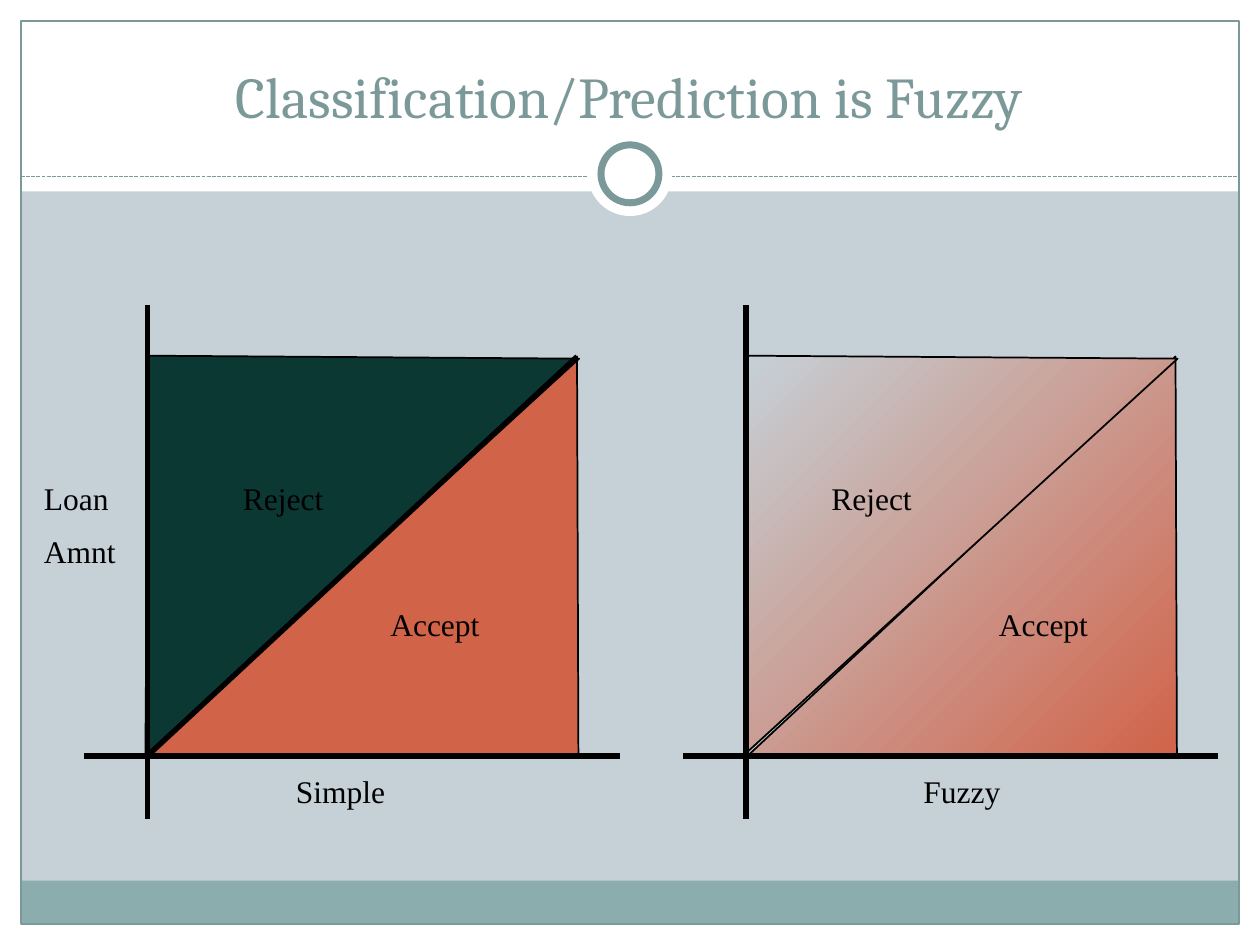
from pptx import Presentation
from pptx.dml.color import RGBColor
from pptx.enum.dml import MSO_LINE
from pptx.enum.shapes import MSO_CONNECTOR, MSO_SHAPE
from pptx.enum.text import MSO_ANCHOR, PP_ALIGN
from pptx.oxml.ns import qn
from pptx.util import Inches, Pt
from lxml.etree import SubElement

W, H = 10, 7.5
EDGE = W / 60            # white margin around the slide
PANEL_STEP = 4.75        # distance between the two diagrams
BASE_Y = 0.8 * H         # horizontal axis

WHITE = RGBColor(0xFF, 0xFF, 0xFF)
BLACK = RGBColor(0, 0, 0)
PALE = RGBColor(0xC5, 0xD1, 0xD7)
BAND = RGBColor(0x8C, 0xAD, 0xAE)
TEAL = RGBColor(0x7C, 0x99, 0x9A)
GREEN = RGBColor(0x0C, 0x38, 0x34)
RED = RGBColor(0xD1, 0x63, 0x49)


def add_shape(s, kind, x, y, w, h, fill=None, line=None, width=1, rotation=0):
    sp = s.shapes.add_shape(kind, Inches(x), Inches(y), Inches(w), Inches(h))
    sp.shadow.inherit = False
    sp.rotation = rotation
    if fill is None:
        sp.fill.background()
    elif isinstance(fill, list):
        sp.fill.gradient()
        sp.fill.gradient_angle = 315
        for stop, color in zip(sp.fill.gradient_stops, fill):
            stop.color.rgb = color
        # Keep the gradient direction fixed while the shape turns
        sp._element.spPr.find(qn("a:gradFill")).set("rotWithShape", "0")
    else:
        sp.fill.solid()
        sp.fill.fore_color.rgb = fill
    if line is None:
        sp.line.fill.background()
    else:
        sp.line.color.rgb = line
        sp.line.width = Pt(width)
    return sp


def add_line(s, x1, y1, x2, y2, color=BLACK, width=3, dash=None):
    ln = s.shapes.add_connector(MSO_CONNECTOR.STRAIGHT, Inches(x1), Inches(y1),
                                Inches(x2), Inches(y2))
    ln.line.color.rgb = color
    ln.line.width = Pt(width)
    if dash is not None:
        ln.line.dash_style = dash
    SubElement(ln._element.spPr, qn("a:effectLst"))


def add_text(s, lines, x, y, w, h=0.5, size=18, font="Times New Roman",
             color=BLACK, wrap=False, align=PP_ALIGN.LEFT,
             anchor=MSO_ANCHOR.TOP, gap=0):
    tf = s.shapes.add_textbox(Inches(x), Inches(y), Inches(w), Inches(h)).text_frame
    tf.word_wrap = wrap
    tf.vertical_anchor = anchor
    for i, line in enumerate(lines):
        p = tf.paragraphs[0] if i == 0 else tf.add_paragraph()
        p.alignment = align
        p.space_before = Pt(gap if i else 0)
        r = p.add_run()
        r.text = line
        r.font.size = Pt(size)
        r.font.name = font
        r.font.color.rgb = color


def add_frame(s):
    # White margins, title area and bottom band
    for x, y, w, h, fill in [(0, H - EDGE, W, EDGE, WHITE),
                             (0, 0, W, 1.52, WHITE),
                             (0, 0, EDGE, H, WHITE),
                             (W - EDGE, 0, EDGE, H, WHITE),
                             (EDGE, 6.99, W - 2 * EDGE, 0.34, BAND)]:
        add_shape(s, MSO_SHAPE.RECTANGLE, x, y, w, h, fill)
    add_shape(s, MSO_SHAPE.RECTANGLE, EDGE, EDGE, W - 2 * EDGE, H - 2 * EDGE,
              line=TEAL, width=0.75)
    # Dashed divider with ring
    add_line(s, EDGE, 1.4, W - EDGE, 1.4, TEAL, 0.75, MSO_LINE.SQUARE_DOT)
    for size, line in [(0.67, None), (0.46, TEAL)]:
        add_shape(s, MSO_SHAPE.OVAL, (W - size) / 2, 1.38 - size / 2, size, size,
                  WHITE, line, 4)


def add_panel(s, left, accept_fill, reject_fill, boundary=False):
    # Two triangles turned to meet along the diagonal
    for rotation, fill in [(269.8, accept_fill), (90.4, reject_fill)]:
        add_shape(s, MSO_SHAPE.RIGHT_TRIANGLE, left + 0.12, 2.71, 3.17, 3.42,
                  fill, BLACK, 1, rotation)
    # Axes
    add_line(s, left, 6.5, left, 2.42)
    add_line(s, left + 3.75, BASE_Y, left - 0.5, BASE_Y)
    if boundary:
        add_line(s, left, BASE_Y, left + 3.41, 2.83)


def main():
    prs = Presentation()
    prs.slide_width, prs.slide_height = Inches(W), Inches(H)
    s = prs.slides.add_slide(prs.slide_layouts[6])
    s.background.fill.solid()
    s.background.fill.fore_color.rgb = PALE

    add_frame(s)
    add_text(s, ["Classification/Prediction is Fuzzy"], 0.33, 0.25, 9.33, 0.83,
             33, "Cambria", TEAL, True, PP_ALIGN.CENTER, MSO_ANCHOR.BOTTOM)

    # Diagrams
    fade = [PALE, RED]
    add_panel(s, 1.17, RED, GREEN, boundary=True)
    add_panel(s, 1.17 + PANEL_STEP, fade, fade)

    # Labels
    add_text(s, ["Loan", "Amnt"], 0.25, 3.75, 1.08, 1.1, wrap=True, gap=9)
    for label, x, y, w in [("Simple", 2.25, 6.08, 1.14),
                           ("Fuzzy", 7.23, 6.08, 1.02),
                           ("Accept", 3, 4.75, 1.14),
                           ("Accept", 7.83, 4.75, 1.14),
                           ("Reject", 6.5, 3.75, 1.05),
                           ("Reject", 1.83, 3.75, 1.05)]:
        add_text(s, [label], x, y, w)

    prs.save("out.pptx")


main()
